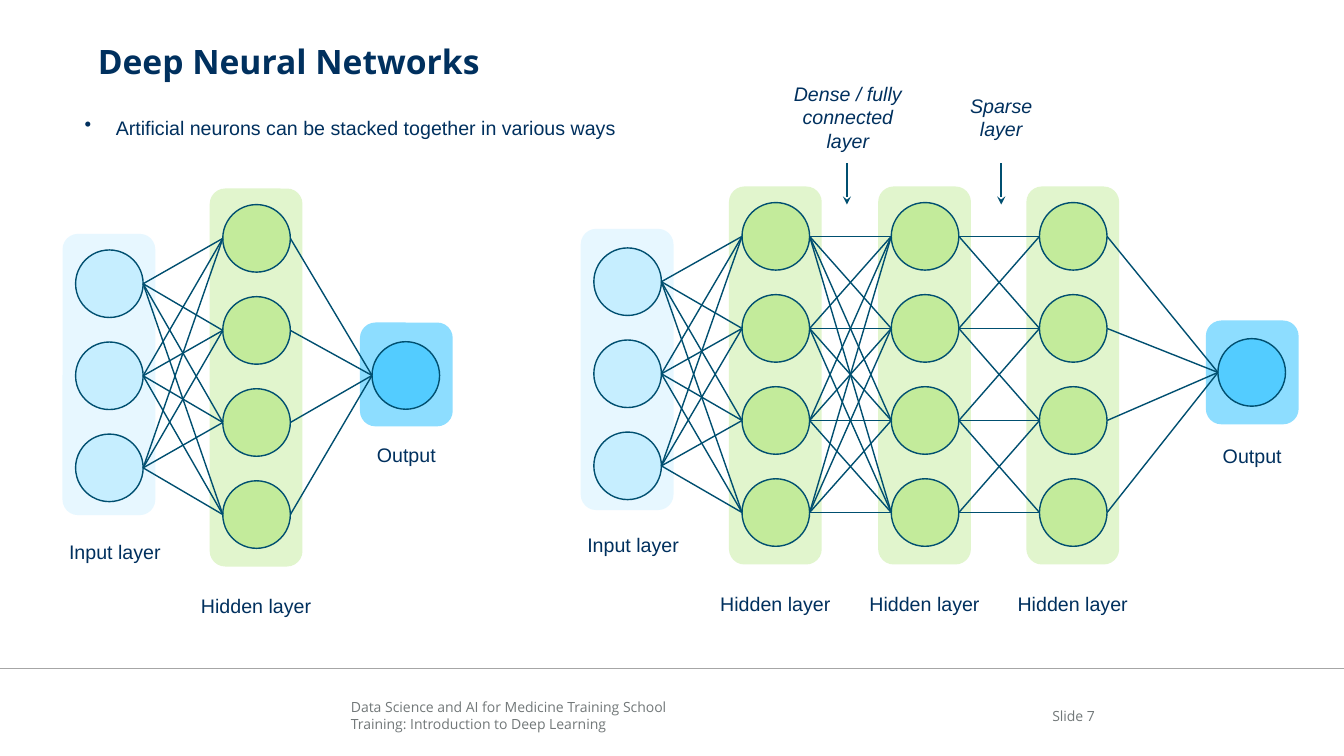
from lxml import etree
from pptx import Presentation
from pptx.dml.color import RGBColor
from pptx.enum.shapes import MSO_CONNECTOR, MSO_SHAPE
from pptx.enum.text import MSO_ANCHOR, MSO_AUTO_SIZE, PP_ALIGN
from pptx.oxml.ns import qn
from pptx.util import Inches, Pt

STRAIGHT = MSO_CONNECTOR.STRAIGHT
OVAL, ROUNDED = MSO_SHAPE.OVAL, MSO_SHAPE.ROUNDED_RECTANGLE
TOP, MIDDLE = MSO_ANCHOR.TOP, MSO_ANCHOR.MIDDLE
LEFT, CENTER, RIGHT = PP_ALIGN.LEFT, PP_ALIGN.CENTER, PP_ALIGN.RIGHT

NAVY = RGBColor(0x00, 0x30, 0x5E)
TEAL = RGBColor(0x00, 0x4F, 0x70)
GREY = RGBColor(0x72, 0x78, 0x79)
RULE_GREY = RGBColor(0xA6, 0xA6, 0xA6)
PALE_BLUE = RGBColor(0xC6, 0xEE, 0xFF)
SKY_BLUE = RGBColor(0x8D, 0xDD, 0xFF)
BRIGHT_BLUE = RGBColor(0x53, 0xCC, 0xFF)
PALE_GREEN = RGBColor(0xE1, 0xF5, 0xCD)
GREEN = RGBColor(0xC3, 0xEB, 0x9B)

NEURON = 0.67
NEURON_PITCH = 2.74 / 3
PANEL_WIDTH = 0.92


def write(box, text, size=14, font="Arial", color=NAVY, bold=False, italic=False,
          align=LEFT, anchor=TOP, spacing=None, wrap=True, inset=True, bullet=False):
    """Fill a box with text, one paragraph for each line."""
    frame = box.text_frame
    frame.text = text
    frame.word_wrap = wrap
    frame.auto_size = MSO_AUTO_SIZE.NONE
    frame.vertical_anchor = anchor
    if not inset:
        frame.margin_left = frame.margin_right = 0
        frame.margin_top = frame.margin_bottom = 0
    for paragraph in frame.paragraphs:
        if bullet:
            properties = paragraph._p.get_or_add_pPr()
            properties.set("marL", str(Inches(0.31)))
            properties.set("indent", str(-Inches(0.31)))
            etree.SubElement(properties, qn("a:buChar")).set("char", "•")
        paragraph.alignment = align
        if spacing:
            paragraph.line_spacing = spacing
        style = paragraph.font
        style.name, style.size, style.color.rgb = font, Pt(size), color
        style.bold, style.italic = bold, italic


def draw_line(shapes, x1, y1, x2, y2, color=TEAL, arrow=False):
    line = shapes.add_connector(STRAIGHT, Inches(x1), Inches(y1), Inches(x2), Inches(y2))
    line.line.color.rgb = color
    line.line.width = Pt(1)
    if arrow:
        etree.SubElement(line.line._get_or_add_ln(), qn("a:tailEnd")).set("type", "stealth")
    etree.SubElement(line._element.spPr, qn("a:effectLst"))


prs = Presentation()
prs.slide_width, prs.slide_height = Inches(13.33), Inches(7.5)
slide = prs.slides.add_slide(prs.slide_layouts[5])

title = slide.shapes.title
title.left, title.top = Inches(0.97), Inches(0.41)
title.width, title.height = Inches(11.23), Inches(0.89)
write(title, "Deep Neural Networks", size=24, font="Open Sans", bold=True, inset=False)

draw_line(slide.shapes, 0, 6.63, 13.33, 6.63, color=RULE_GREY)

captions = [
    (0.74, 0.98, 5.6, 0.41, "Artificial neurons can be stacked together in various ways",
     dict(spacing=1.5, bullet=True)),
    (7.68, 0.76, 1.46, 0.81, "Dense / fully connected layer", dict(italic=True, align=CENTER)),
    (9.47, 0.88, 0.92, 0.57, "Sparse layer", dict(italic=True, align=CENTER)),
    (3.48, 6.93, 6.21, 0.34,
     "Data Science and AI for Medicine Training School\n"
     "Training: Introduction to Deep Learning",
     dict(size=10, font="Open Sans", color=GREY, inset=False)),
    (9.95, 6.85, 0.91, 0.5, "Slide 7",
     dict(size=10, font="Open Sans", color=GREY, inset=False, align=RIGHT, anchor=MIDDLE)),
]
for left, top, width, height, text, text_format in captions:
    box = slide.shapes.add_textbox(Inches(left), Inches(top), Inches(width), Inches(height))
    write(box, text, **text_format)

for arrow_x in (8.4, 9.93):
    draw_line(slide.shapes, arrow_x, 1.62, arrow_x, 2.03, arrow=True)

# kind: label, label width, label shift, neurons, neuron inset, panel height, panel and neuron fill
layer_kinds = {
    "input": ("Input layer", 1.12, 0.06, 3, 0.13, 2.79, PALE_BLUE, PALE_BLUE),
    "hidden": ("Hidden layer", 1.3, 0, 4, 0.13, 3.75, PALE_GREEN, GREEN),
    "output": ("Output", 0.81, 0, 1, 0.12, 1.03, SKY_BLUE, BRIGHT_BLUE),
}
# kind, panel left, panel top, first neuron top, label top, links from the layer before
networks = [
    [("input", 0.62, 2.32, 2.48, 5.19, None),
     ("hidden", 2.08, 1.87, 2.03, 5.73, "dense"),
     ("output", 3.57, 3.2, 3.39, 4.23, "dense")],
    [("input", 5.76, 2.27, 2.46, 5.12, None),
     ("hidden", 7.23, 1.85, 2.01, 5.71, "dense"),
     ("hidden", 8.71, 1.85, 2.01, 5.71, "dense"),
     ("hidden", 10.18, 1.85, 2.01, 5.71, "sparse"),
     ("output", 11.96, 3.18, 3.36, 4.24, "dense")],
]

for layers in networks:
    network = slide.shapes.add_group_shape().shapes
    previous_right, previous_centers = 0, []
    for kind, left, panel_top, neuron_top, label_top, links in layers:
        label, label_width, shift, count, inset, height, panel_fill, neuron_fill = layer_kinds[kind]

        panel = network.add_shape(ROUNDED, Inches(left), Inches(panel_top),
                                  Inches(PANEL_WIDTH), Inches(height))
        panel.shadow.inherit = False
        panel.fill.solid()
        panel.fill.fore_color.rgb = panel_fill
        panel.line.fill.background()
        if kind == "input":
            fill_color = panel._element.spPr.find(".//" + qn("a:srgbClr"))
            etree.SubElement(fill_color, qn("a:alpha")).set("val", "42000")

        neuron_left = left + inset
        centers = []
        for row in range(count):
            top = neuron_top + row * NEURON_PITCH
            neuron = network.add_shape(OVAL, Inches(neuron_left), Inches(top),
                                       Inches(NEURON), Inches(NEURON))
            neuron.shadow.inherit = False
            neuron.fill.solid()
            neuron.fill.fore_color.rgb = neuron_fill
            neuron.line.color.rgb = TEAL
            neuron.line.width = Pt(1)
            centers.append(top + NEURON / 2)

        for source, source_y in enumerate(previous_centers):
            for target, target_y in enumerate(centers):
                if links == "dense" or abs(source - target) <= 1:
                    draw_line(network, previous_right, source_y, neuron_left, target_y)
        previous_right, previous_centers = neuron_left + NEURON, centers

        label_left = left + PANEL_WIDTH / 2 + shift - label_width / 2
        label_box = network.add_textbox(Inches(label_left), Inches(label_top),
                                        Inches(label_width), Inches(0.41))
        write(label_box, label, align=CENTER, spacing=1.5, wrap=False)

prs.save("out.pptx")
